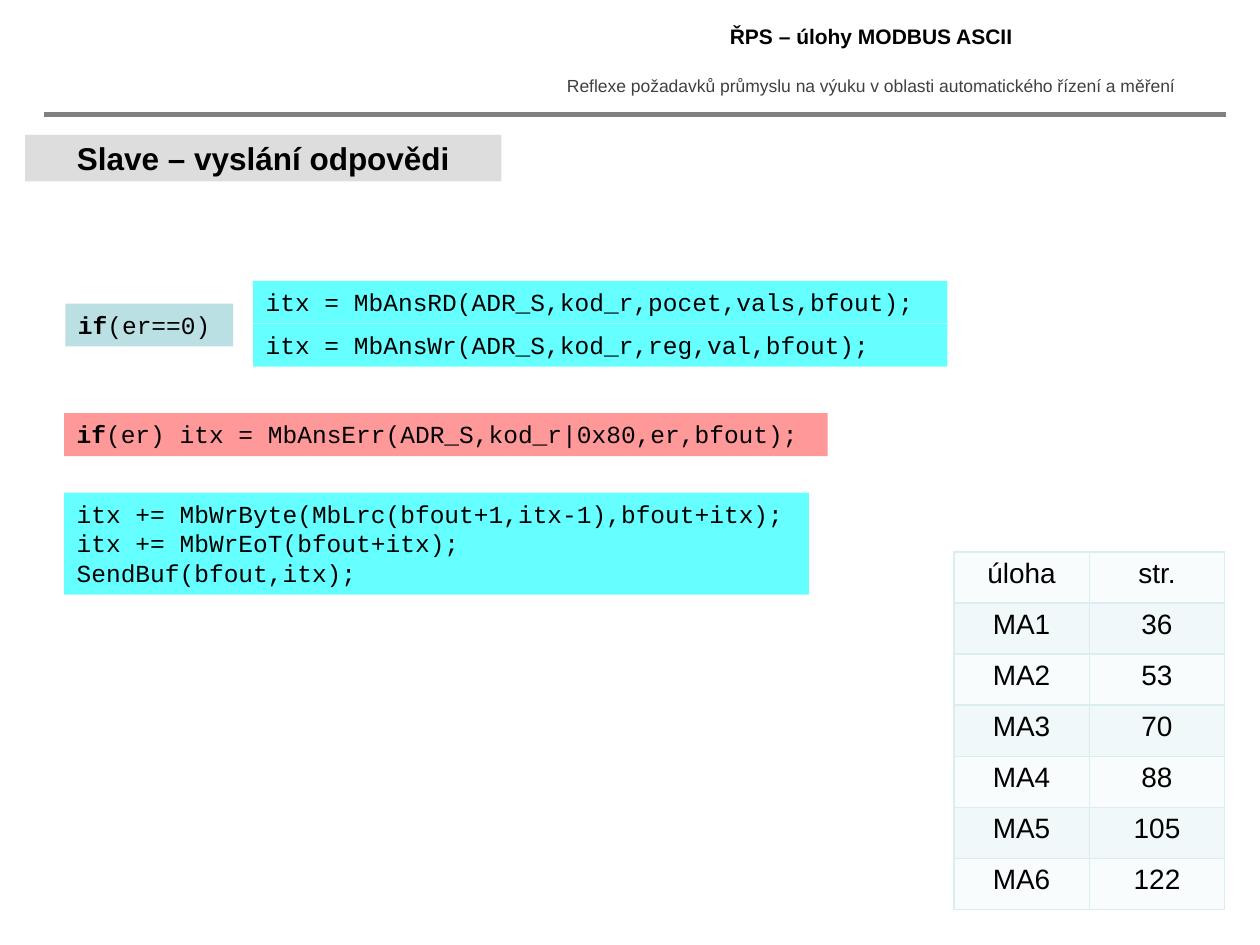
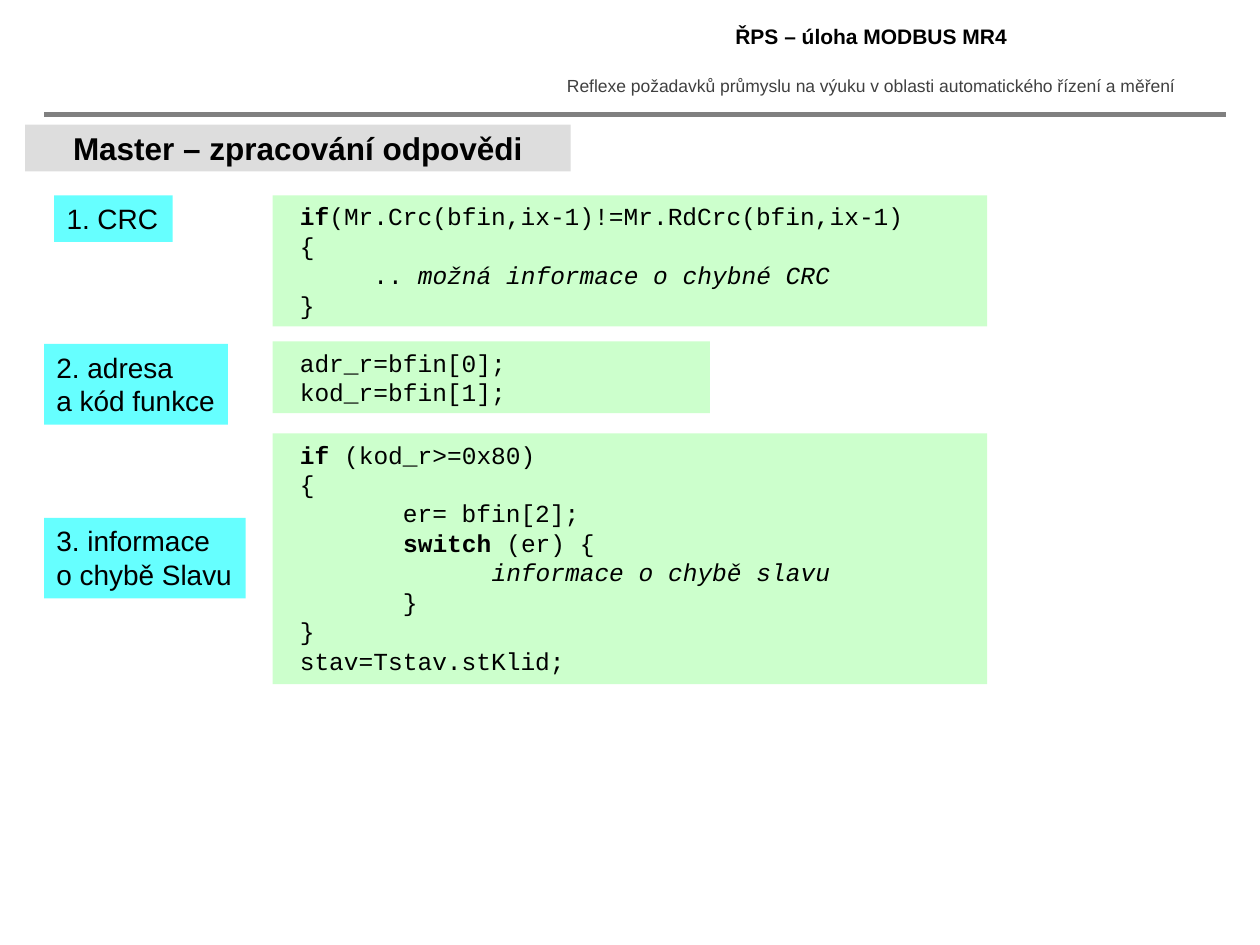
from dataclasses import dataclass

from lxml.etree import SubElement
from pptx import Presentation
from pptx.dml.color import RGBColor
from pptx.enum.shapes import MSO_CONNECTOR, MSO_SHAPE
from pptx.enum.text import MSO_ANCHOR, PP_ALIGN
from pptx.oxml.ns import qn
from pptx.util import Inches, Pt

COLORS = {
    "text": "000000",
    "subtitle": "404040",
    "rule": "808080",
    "title_band": "DDDDDD",
    "condition": "BBE0E3",
    "cyan": "66FFFF",
    "error": "FF9999",
    "green": "CCFFCC",
    "border": "DAEDEF",
    "row_even": "F8FCFC",
    "row_odd": "F1F8F9",
}
PROJECT = "Reflexe požadavků průmyslu na výuku v oblasti automatického řízení a měření"


@dataclass
class Run:
    text: str
    bold: bool = False
    italic: bool = False


@dataclass
class Font:
    name: str
    size: int
    bold: bool = False
    color: str = "text"


HEADER = Font("Arial", 12, bold=True)
SUBTITLE = Font("Arial", 10, color="subtitle")
TITLE = Font("Arial", 18, bold=True)
LABEL = Font("Arial", 16)
CODE = Font("Courier New", 14)


class Deck:
    COLUMNS, ROWS = 100, 75

    def __init__(self):
        self.presentation = Presentation()
        self.presentation.slide_width = Inches(10)
        self.presentation.slide_height = Inches(7.5)
        self.slide = None

    def x(self, columns):
        return round(self.presentation.slide_width * columns / self.COLUMNS)

    def y(self, rows):
        return round(self.presentation.slide_height * rows / self.ROWS)

    def area(self, left, top, width, height):
        return self.x(left), self.y(top), self.x(width), self.y(height)

    def color(self, name):
        return RGBColor.from_string(COLORS[name])

    def add_lines(self, frame, lines, font, align=PP_ALIGN.LEFT):
        for index, line in enumerate(lines):
            paragraph = frame.add_paragraph() if index else frame.paragraphs[0]
            paragraph.alignment = align
            for part in [line] if isinstance(line, str) else line:
                part = Run(part) if isinstance(part, str) else part
                run = paragraph.add_run()
                run.text = part.text
                run.font.name = font.name
                run.font.size = Pt(font.size)
                run.font.bold = font.bold or part.bold
                run.font.italic = part.italic
                run.font.color.rgb = self.color(font.color)

    def caption(self, place, text, font):
        frame = self.slide.shapes.add_textbox(*self.area(*place)).text_frame
        frame.word_wrap = True
        self.add_lines(frame, [text], font, PP_ALIGN.CENTER)

    def block(self, place, fill, lines, font=CODE, wrap=True,
              align=PP_ALIGN.LEFT, anchor=MSO_ANCHOR.TOP):
        shape = self.slide.shapes.add_shape(MSO_SHAPE.RECTANGLE, *self.area(*place))
        shape.shadow.inherit = False
        shape.fill.solid()
        shape.fill.fore_color.rgb = self.color(fill)
        shape.line.fill.background()
        shape.text_frame.word_wrap = wrap
        shape.text_frame.vertical_anchor = anchor
        self.add_lines(shape.text_frame, lines, font, align)

    def label(self, place, *lines):
        self.block(place, "cyan", lines, LABEL, wrap=False)

    def rule(self, left, right, row):
        line = self.slide.shapes.add_connector(
            MSO_CONNECTOR.STRAIGHT, self.x(left), self.y(row), self.x(right), self.y(row))
        line.line.color.rgb = self.color("rule")
        line.line.width = Pt(3)
        SubElement(line._element.spPr, qn("a:effectLst"))

    def start(self, header, title, title_top, title_width):
        self.slide = self.presentation.slides.add_slide(self.presentation.slide_layouts[6])
        self.caption((43, 5.5, 52.2, 2.7), PROJECT, SUBTITLE)
        self.caption((43, 1.4, 52.3, 3.1), header, HEADER)
        self.rule(3.5, 97.3, 9.1)
        self.block((2, title_top, title_width, 3.7), "title_band", [title], TITLE,
                   wrap=False, align=PP_ALIGN.CENTER, anchor=MSO_ANCHOR.MIDDLE)

    def border(self, cell):
        properties = cell._tc.get_or_add_tcPr()
        for side in ("lnL", "lnR", "lnT", "lnB"):
            line = SubElement(properties, qn(f"a:{side}"), w=str(Pt(1)))
            fill = SubElement(line, qn("a:solidFill"))
            SubElement(fill, qn("a:srgbClr"), val=COLORS["border"])

    def table(self, place, records):
        table = self.slide.shapes.add_table(
            len(records), len(records[0]), *self.area(*place)).table
        for row, record in enumerate(records):
            for column, value in enumerate(record):
                cell = table.cell(row, column)
                self.border(cell)
                cell.fill.solid()
                cell.fill.fore_color.rgb = self.color("row_odd" if row % 2 else "row_even")
                self.add_lines(cell.text_frame, [value], LABEL, PP_ALIGN.CENTER)


def build_slave_reply(deck):
    deck.start("ŘPS – úlohy MODBUS ASCII", "Slave – vyslání odpovědi", 10.7, 37.8)
    deck.block((5.2, 24.1, 13.3, 3.4), "condition", [[Run("if", bold=True), "(er==0)"]])
    answers = ["itx = MbAnsRD(ADR_S,kod_r,pocet,vals,bfout);",
               "itx = MbAnsWr(ADR_S,kod_r,reg,val,bfout);"]
    for index, answer in enumerate(answers):
        deck.block((20.1, 22.3 + 3.4 * index, 55.1, 3.4), "cyan", [answer])
    deck.block((5.1, 32.8, 60.6, 3.4), "error",
               [[Run("if", bold=True), "(er) itx = MbAnsErr(ADR_S,kod_r|0x80,er,bfout);"]])
    deck.block((5.1, 39.1, 59.1, 8.1), "cyan", [
        "itx += MbWrByte(MbLrc(bfout+1,itx-1),bfout+itx);",
        "itx += MbWrEoT(bfout+itx);",
        "SendBuf(bfout,itx);",
    ])
    pages = ["36", "53", "70", "88", "105", "122"]
    tasks = [(f"MA{number}", page) for number, page in enumerate(pages, 1)]
    deck.table((75.7, 43.8, 21.5, 28.4), [("úloha", "str.")] + tasks)


def build_master_processing(deck):
    deck.start("ŘPS – úloha MODBUS MR4", "Master – zpracování odpovědi", 9.9, 43.3)
    deck.label((4.3, 15.5, 9.4, 3.7), "1. CRC")
    deck.label((3.5, 27.3, 14.6, 6.4), "2. adresa", "a kód funkce")
    deck.label((3.5, 41.1, 16, 6.4), "3. informace", "o chybě Slavu")
    deck.block((21.65, 15.5, 56.7, 10.4), "green", [
        [" ", Run("if", bold=True), "(Mr.Crc(bfin,ix-1)!=Mr.RdCrc(bfin,ix-1)"],
        " {",
        ["      .. ", Run("možná informace o chybné CRC", italic=True)],
        " }",
    ])
    deck.block((21.65, 27.1, 34.7, 5.7), "green", [" adr_r=bfin[0];", " kod_r=bfin[1];"])
    deck.block((21.65, 34.4, 56.7, 19.9), "green", [
        [Run(" if ", bold=True), "(kod_r>=0x80)"],
        " {",
        "        er= bfin[2];",
        ["        ", Run("switch ", bold=True), "(er) {"],
        ["              ", Run("informace o chybě slavu", italic=True)],
        "        }",
        " }",
        " stav=Tstav.stKlid;",
    ])


def main():
    deck = Deck()
    build_slave_reply(deck)
    build_master_processing(deck)
    deck.presentation.save("out.pptx")


if __name__ == "__main__":
    main()
